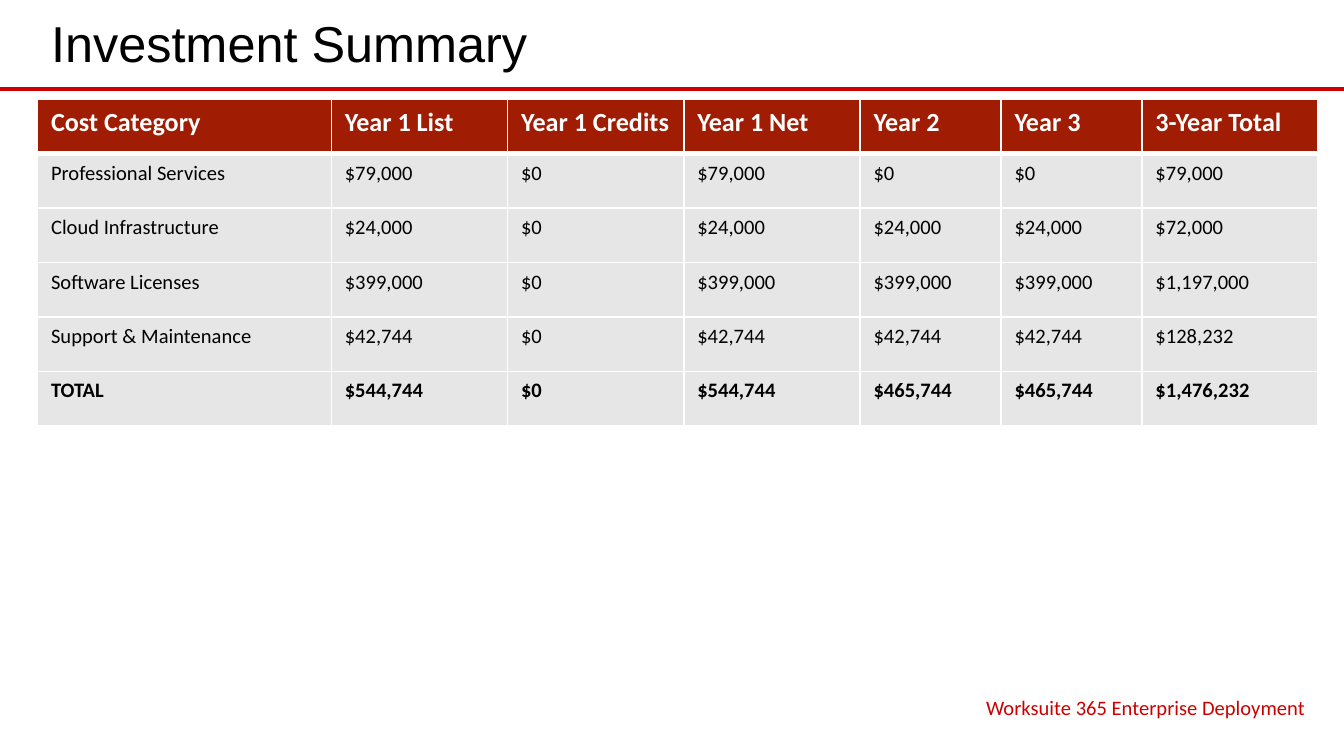
"""Build the investment summary slide with its three-year cost table."""
from lxml.etree import SubElement
from pptx import Presentation
from pptx.dml.color import RGBColor
from pptx.enum.shapes import MSO_CONNECTOR as Connector
from pptx.enum.text import MSO_ANCHOR as Anchor, MSO_AUTO_SIZE as AutoSize, PP_ALIGN as Align
from pptx.oxml.ns import qn
from pptx.util import Inches, Pt

COLORS = {"rule": "CC0000", "header": "A01C02", "body": "E7E6E6", "white": "FFFFFF", "black": "000000"}
LEFT, WIDTH = 0.28, 9.53
COLUMN_SHARES = [25, 15, 15, 15, 12, 12, 15]
ROW_HEIGHT = 2.43 / 6
HEADER_BORDERS = {"a:lnL": 1, "a:lnR": 1, "a:lnT": 1, "a:lnB": 3}
ROWS = [
    ["Cost Category", "Year 1 List", "Year 1 Credits", "Year 1 Net", "Year 2", "Year 3", "3-Year Total"],
    ["Professional Services", "$79,000", "$0", "$79,000", "$0", "$0", "$79,000"],
    ["Cloud Infrastructure", "$24,000", "$0", "$24,000", "$24,000", "$24,000", "$72,000"],
    ["Software Licenses", "$399,000", "$0", "$399,000", "$399,000", "$399,000", "$1,197,000"],
    ["Support & Maintenance", "$42,744", "$0", "$42,744", "$42,744", "$42,744", "$128,232"],
    ["TOTAL", "$544,744", "$0", "$544,744", "$465,744", "$465,744", "$1,476,232"],
]


def write(text_frame, text, size, color, name="Calibri", bold=False, align=Align.LEFT):
    """Put one formatted paragraph into a text frame."""
    text_frame.text = text
    paragraph = text_frame.paragraphs[0]
    paragraph.alignment = align
    paragraph.space_before = Pt(0)
    font = paragraph.font
    font.name, font.size, font.bold = name, Pt(size), bold
    font.color.rgb = RGBColor.from_string(COLORS[color])


def add_borders(cell, widths):
    """Give a cell white borders of the given widths in points."""
    properties = cell._tc.get_or_add_tcPr()
    for tag, width in widths.items():
        border = SubElement(properties, qn(tag), w=str(Pt(width)))
        SubElement(SubElement(border, qn("a:solidFill")), qn("a:srgbClr"), val=COLORS["white"])


presentation = Presentation()
presentation.slide_width, presentation.slide_height = Inches(10), Inches(10 * 9 / 16)
slide = presentation.slides.add_slide(presentation.slide_layouts[5])

rule = slide.shapes.add_connector(
    Connector.STRAIGHT, 0, Inches(0.66), presentation.slide_width, Inches(0.66))
rule.line.color.rgb = RGBColor.from_string(COLORS["rule"])
rule.line.width = Pt(2.25)
SubElement(rule._element.spPr, qn("a:effectLst"))

title = slide.shapes.title
title.left, title.top, title.width, title.height = map(Inches, (LEFT, 0.04, WIDTH, 0.58))
title.text_frame.auto_size = AutoSize.NONE
title.text_frame.vertical_anchor = Anchor.MIDDLE
title.text_frame.margin_bottom = Inches(0.08)
write(title.text_frame, "Investment Summary", 27, "black", name="Arial")

table = slide.shapes.add_table(
    len(ROWS), len(COLUMN_SHARES), *map(Inches, (LEFT, 0.74, WIDTH, ROW_HEIGHT * len(ROWS)))).table
table.horz_banding = False
for column, share in zip(table.columns, COLUMN_SHARES):
    column.width = Inches(WIDTH * share / sum(COLUMN_SHARES))
for index, (row, texts) in enumerate(zip(table.rows, ROWS)):
    row.height = Inches(ROW_HEIGHT)
    is_header = index == 0
    is_total = index == len(ROWS) - 1
    for cell, text in zip(row.cells, texts):
        if is_header:
            add_borders(cell, HEADER_BORDERS)
        cell.fill.solid()
        cell.fill.fore_color.rgb = RGBColor.from_string(COLORS["header" if is_header else "body"])
        write(cell.text_frame, text, 14 if is_header else 11,
              "white" if is_header else "black", bold=is_header or is_total)

footer = slide.shapes.add_textbox(*map(Inches, (6.29, 5.12, 3.52, 0.26)))
footer.text_frame.word_wrap = True
footer.text_frame.vertical_anchor = Anchor.MIDDLE
footer.text_frame.margin_bottom = Inches(0.02)
write(footer.text_frame, "Worksuite 365 Enterprise Deployment", 11, "rule", align=Align.RIGHT)

presentation.save("out.pptx")
